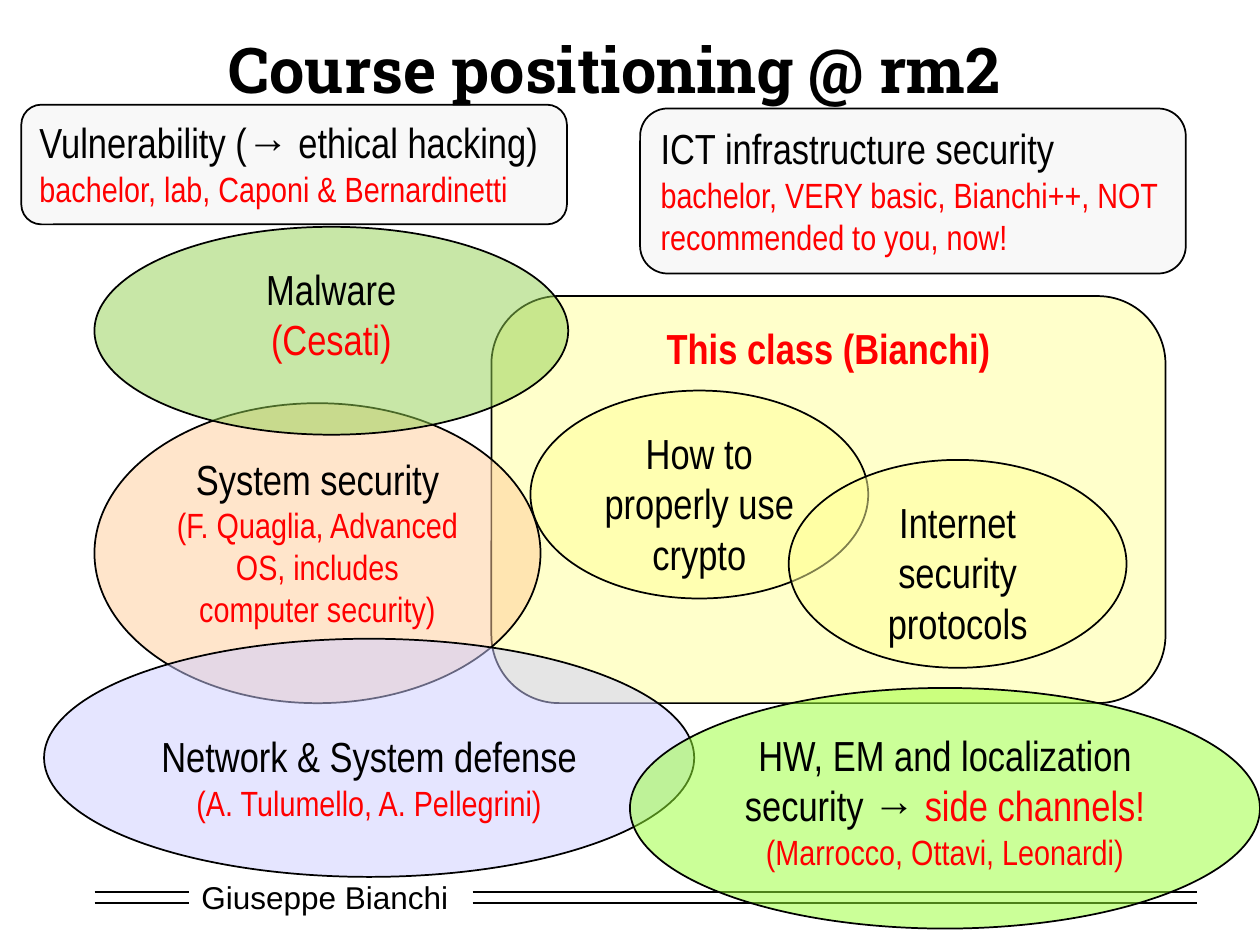
from dataclasses import dataclass

from lxml import etree
from pptx import Presentation
from pptx.dml.color import RGBColor
from pptx.enum.shapes import MSO_CONNECTOR, MSO_SHAPE
from pptx.enum.text import MSO_ANCHOR, PP_ALIGN
from pptx.oxml.ns import qn
from pptx.util import Pt

ELLIPSE, ROUNDED = MSO_SHAPE.OVAL, MSO_SHAPE.ROUNDED_RECTANGLE
RECTANGLE, STRAIGHT = MSO_SHAPE.RECTANGLE, MSO_CONNECTOR.STRAIGHT
LEFT, CENTER = PP_ALIGN.LEFT, PP_ALIGN.CENTER
TOP, MIDDLE = MSO_ANCHOR.TOP, MSO_ANCHOR.MIDDLE


@dataclass(frozen=True)
class Theme:
    ink: str = "000000"
    accent: str = "FF0000"
    paper: str = "FFFFFF"
    yellow: str = "FFFF99"
    orange: str = "FFCC99"
    lilac: str = "CCCCFF"
    lime: str = "99FF33"
    green: str = "92D050"
    grey: str = "F2F2F2"
    title_font: str = "Roboto Slab"
    topic_font: str = "Arial Narrow"
    footer_font: str = "Arial"
    title_size: int = 36
    topic_size: int = 24
    detail_size: int = 20
    footer_size: int = 18
    line_width: int = 1


THEME = Theme()


def add_text(paragraph, text, *, size=THEME.topic_size, font=THEME.topic_font,
             color=THEME.ink, bold=False, align=CENTER):
    paragraph.alignment = align
    run = paragraph.add_run()
    run.text = text
    run.font.size, run.font.name, run.font.bold = Pt(size), font, bold
    run.font.color.rgb = RGBColor.from_string(color)


def place(part, box):
    part.left, part.top, part.width, part.height = (Pt(v) for v in box)


def add_topic(slide, outline, box, fill, heading, detail=None, *, align=CENTER,
              detail_size=THEME.detail_size, heading_color=THEME.ink,
              bold=False, highlight=None, lowered=0):
    """Half-transparent area with a heading and an optional red detail line."""
    topic = slide.shapes.add_shape(outline, *(Pt(v) for v in box))
    topic.shadow.inherit = False
    topic.fill.solid()
    topic.fill.fore_color.rgb = RGBColor.from_string(fill)
    tint = topic._element.spPr.find(f"{qn('a:solidFill')}/{qn('a:srgbClr')}")
    etree.SubElement(tint, qn("a:alpha"), val="50000")
    topic.line.color.rgb = RGBColor.from_string(THEME.ink)
    topic.line.width = Pt(THEME.line_width)

    frame = topic.text_frame
    frame.word_wrap = True
    frame.vertical_anchor = TOP
    frame.margin_top = Pt(3.6 + lowered)
    first = frame.paragraphs[0]
    add_text(first, heading, color=heading_color, bold=bold, align=align)
    if highlight:
        add_text(first, highlight, color=THEME.accent, align=align)
    if detail:
        add_text(frame.add_paragraph(), detail, size=detail_size,
                 color=THEME.accent, align=align)


def add_title(slide, box, text):
    title = slide.shapes.title
    place(title, box)
    title.text_frame.word_wrap = True
    title.text_frame.vertical_anchor = MIDDLE
    add_text(title.text_frame.paragraphs[0], text, size=THEME.title_size,
             font=THEME.title_font, bold=True)


def add_footer(slide, box, author):
    left, top, width, height = box
    # Author label
    label = slide.shapes.add_shape(RECTANGLE, Pt(left + 54), Pt(top), Pt(156.24), Pt(height))
    label.shadow.inherit = False
    label.fill.solid()
    label.fill.fore_color.rgb = RGBColor.from_string(THEME.paper)
    label.line.fill.background()
    label.text_frame.word_wrap = True
    label.text_frame.vertical_anchor = MIDDLE
    add_text(label.text_frame.paragraphs[0], author, size=THEME.footer_size,
             font=THEME.footer_font, align=LEFT)
    # Double rule on both sides of the label
    for y in (top + 11.5, top + 18):
        for start, end in ((left, left + 54), (left + 216, left + width)):
            rule = slide.shapes.add_connector(STRAIGHT, Pt(start), Pt(y), Pt(end), Pt(y))
            rule.line.color.rgb = RGBColor.from_string(THEME.ink)
            rule.line.width = Pt(THEME.line_width)
            etree.SubElement(rule._element.spPr, qn("a:effectLst"))


def add_this_class(slide, box):
    left, top = box[:2]
    add_topic(slide, ROUNDED, box, THEME.yellow, "This class (Bianchi)",
              heading_color=THEME.accent, bold=True)
    for dx, dy, subject in ((22.3, 54, "How to properly use crypto"),
                            (169.9, 93.6, "Internet security protocols")):
        add_topic(slide, ELLIPSE, (left + dx, top + dy, 193, 118.8),
                  THEME.yellow, subject)


def add_related_courses(slide, box):
    left, top = box[:2]

    def inside(dx, dy, width, height):
        return left + dx, top + dy, width, height

    # Neighbouring courses
    add_topic(slide, ELLIPSE, inside(41.8, 170.6, 254.9, 171.4), THEME.orange,
              "System security",
              "(F. Quaglia, Advanced OS, includes computer security)")
    add_topic(slide, ELLIPSE, inside(13, 305.2, 371.5, 136.1), THEME.lilac,
              "Network & System defense", "(A. Tulumello, A. Pellegrini)",
              lowered=29)
    add_topic(slide, ELLIPSE, inside(347.8, 333.3, 360, 137.5), THEME.lime,
              "HW, EM and localization security → ",
              "(Marrocco, Ottavi, Leonardi)", highlight="side channels!")
    add_topic(slide, ELLIPSE, inside(41.8, 69.8, 270.7, 118.8), THEME.green,
              "Malware", "(Cesati)", detail_size=THEME.topic_size)
    # Bachelor courses
    add_topic(slide, ROUNDED, inside(0, 0, 311.8, 68.4), THEME.grey,
              "Vulnerability (→ ethical hacking)",
              "bachelor, lab, Caponi & Bernardinetti", align=LEFT)
    add_topic(slide, ROUNDED, inside(353.6, 2.2, 311.8, 94.3), THEME.grey,
              "ICT infrastructure security",
              "bachelor, VERY basic, Bianchi++, NOT recommended to you, now!",
              align=LEFT)


def main():
    deck = Presentation()
    deck.slide_width, deck.slide_height = Pt(720), Pt(540)
    slide = deck.slides.add_slide(deck.slide_layouts[5])
    add_footer(slide, (54, 498.2, 630, 28.8), "Giuseppe Bianchi")
    add_title(slide, (48.2, 10.8, 606.2, 56.9), "Course positioning @ rm2")
    add_this_class(slide, (280.8, 169.2, 385.2, 232.6))
    add_related_courses(slide, (12.2, 59.8, 707.8, 470.8))
    deck.save("out.pptx")


if __name__ == "__main__":
    main()
